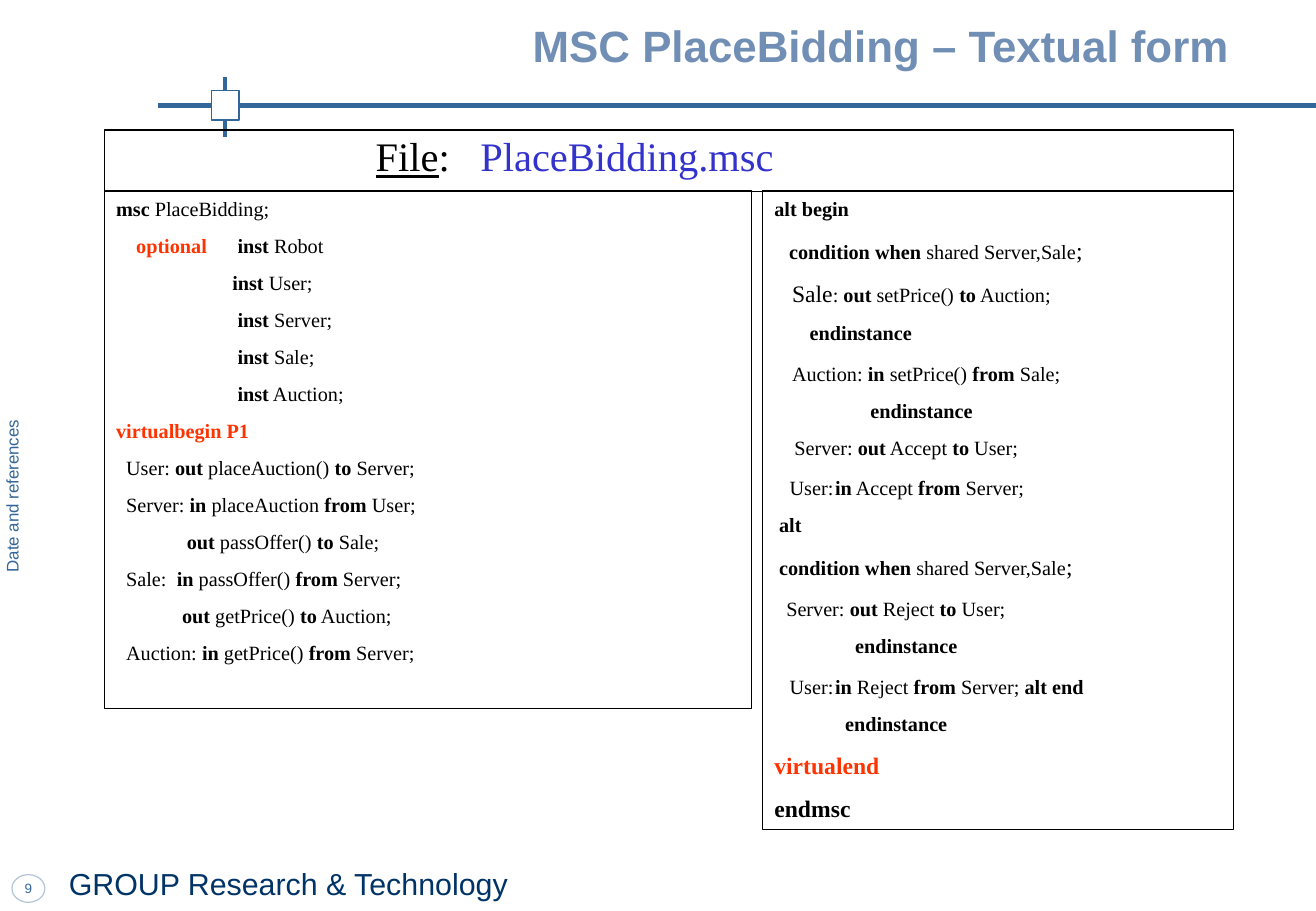
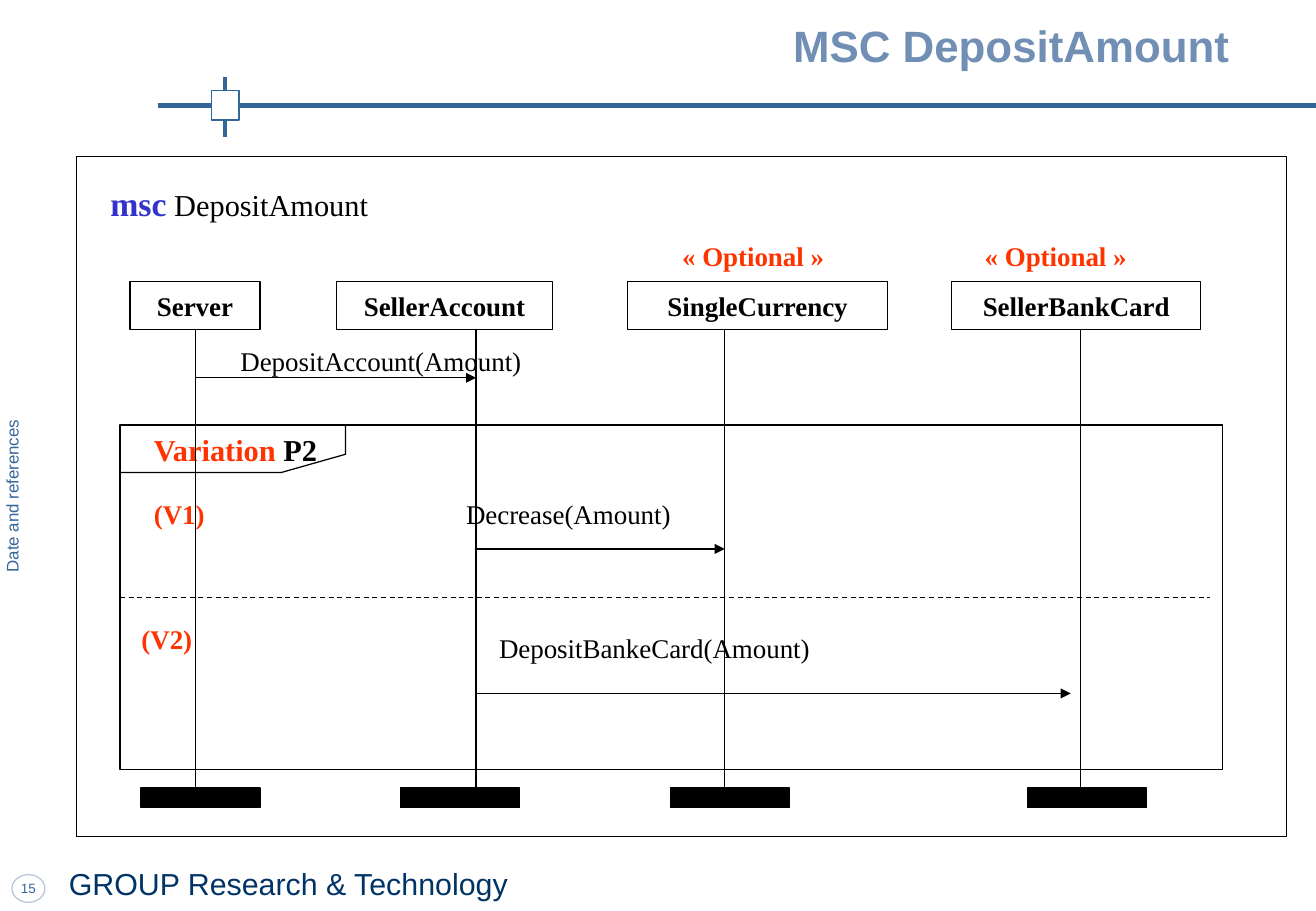
"""Build two slides on message sequence charts: a textual form and a diagram."""
from typing import NamedTuple

from lxml.etree import SubElement
from pptx import Presentation
from pptx.dml.color import RGBColor
from pptx.enum.dml import MSO_LINE
from pptx.enum.shapes import MSO_CONNECTOR, MSO_SHAPE
from pptx.enum.text import MSO_ANCHOR as Anchor, MSO_AUTO_SIZE, PP_ALIGN as Align
from pptx.oxml.ns import qn
from pptx.util import Cm, Pt

COLORS = {
    "black": "000000", "white": "FFFFFF", "red": "FF3300", "blue": "3333CC",
    "rule": "336699", "title": "718EB5", "footer": "003366", "badge": "B6C5DA",
}
SANS, SERIF = "Arial", "Times New Roman"
TAB_STOPS = (1.48, 2.43, 7.63)
MARKS = "*^~_"


class Box(NamedTuple):
    left: float
    top: float
    width: float
    height: float

    def inner(self, left, top, width, height):
        return Box(self.left + left, self.top + top, width, height)

    def lengths(self):
        return [Cm(value) for value in self]


class Line(NamedTuple):
    text: str
    indent: float = 0
    before: float = 7.5
    large: float = 14


class Participant(NamedTuple):
    name: str
    left: float
    width: float
    axis: float
    foot: float
    optional: float = None


LEFT_CODE = [
    Line("*msc* PlaceBidding;"),
    Line("^*optional*^\t*inst* Robot", 0.42),
    Line("*inst* User;", 2.43),
    Line("*inst* Server;", 2.54),
    Line("*inst* Sale;", 2.54),
    Line("*inst* Auction;", 2.54),
    Line("^*virtualbegin P1"),
    Line("User: *out* placeAuction() *to* Server;", 0.21),
    Line("Server: *in* placeAuction *from* User;", 0.21),
    Line("*out* passOffer() *to* Sale;", 1.48),
    Line("Sale:\t*in* passOffer() *from* Server;", 0.21),
    Line("*out* getPrice() *to* Auction;", 1.38),
    Line("Auction: *in* getPrice() *from* Server;", 0.21),
]
RIGHT_CODE = [
    Line("*alt begin"),
    Line("*condition when* shared Server,Sale~;", 0.31, 8.8),
    Line("~Sale~: *out* setPrice() *to* Auction;", 0.37, 8.8),
    Line("*endinstance", 0.74),
    Line("Auction: *in* setPrice() *from* Sale;", 0.37, 9.8),
    Line("*endinstance", 2.01),
    Line("Server: *out* Accept *to* User;", 0.42),
    Line("User:\t*in* Accept *from* Server;", 0.32, 9.8),
    Line("*alt", 0.1),
    Line("*condition when* shared Server,Sale~;", 0.1, 8.8),
    Line("Server: *out* Reject *to* User;", 0.25, 9.8),
    Line("*endinstance", 1.69),
    Line("User:\t*in* Reject *from* Server; *alt end", 0.32, 9.8),
    Line("*endinstance", 1.48),
    Line("^~*virtualend", 0, 8.8),
    Line("~*endmsc", 0, 8.8),
]
PARTICIPANTS = [
    Participant("Server", 1.12, 2.72, 2.49, 1.35),
    Participant("SellerAccount", 5.44, 4.52, 8.36, 6.78),
    Participant("SingleCurrency", 11.53, 5.44, 13.56, 12.42, 12.42),
    Participant("SellerBankCard", 18.31, 5.21, 21.01, 19.89, 18.75),
]
MESSAGES = [
    ("DepositAccount(Amount)", 2.49, 8.36, 4.62, 3.18, 3.81),
    ("Decrease(Amount)", 8.36, 13.56, 8.2, 7.9, 7.01),
    ("DepositBankeCard(Amount)", 8.36, 20.8, 11.22, 8.59, 9.8),
]


def rgb(name):
    return RGBColor.from_string(COLORS[name])


def split_marks(text):
    """Yield pieces of text, each with the set of marks switched on for it."""
    active, piece = set(), ""
    for character in text:
        if character not in MARKS:
            piece += character
            continue
        if piece:
            yield piece, set(active)
        active ^= {character}
        piece = ""
    yield piece, active


def style_font(font, name, size, color, bold=None):
    font.name, font.size, font.bold = name, Pt(size), bold
    font.color.rgb = rgb(color)


def write_lines(shape, lines, size, font=SERIF, color="black", accent="red",
                align=Align.LEFT, anchor=Anchor.TOP, wrap=True):
    """Write marked lines: * bold, ^ accent colour, ~ large, _ underlined."""
    frame = shape.text_frame
    frame.word_wrap, frame.vertical_anchor = wrap, anchor
    for number, line in enumerate(lines):
        paragraph = frame.add_paragraph() if number else frame.paragraphs[0]
        paragraph.alignment = align
        if number:
            paragraph.space_before = Pt(line.before)
        style_font(paragraph.font, font, size, color)
        if line.indent or "\t" in line.text:
            set_indent(paragraph, line.indent)
        for text, marks in split_marks(line.text):
            run = paragraph.add_run()
            run.text = text
            if "*" in marks:
                run.font.bold = True
            if "_" in marks:
                run.font.underline = True
            if "~" in marks:
                run.font.size = Pt(line.large)
            if "^" in marks:
                run.font.color.rgb = rgb(accent)


def set_indent(paragraph, indent):
    """Indent the first line and give the paragraph the shared tab stops."""
    properties = paragraph._p.get_or_add_pPr()
    properties.set("marL", "0")
    properties.set("indent", str(Cm(indent)))
    stops = SubElement(properties, qn("a:tabLst"))
    for position in TAB_STOPS:
        SubElement(stops, qn("a:tab"), pos=str(Cm(position)), algn="l")
    properties.find(qn("a:defRPr")).addprevious(stops)


def set_margins(shape, horizontal, vertical):
    frame = shape.text_frame
    frame.margin_left = frame.margin_right = Cm(horizontal)
    frame.margin_top = frame.margin_bottom = Cm(vertical)


def style_outline(shape, fill=None, line="black"):
    shape.shadow.inherit = False
    if fill:
        shape.fill.solid()
        shape.fill.fore_color.rgb = rgb(fill)
    else:
        shape.fill.background()
    shape.line.color.rgb = rgb(line)
    shape.line.width = Pt(0.75)


def add_frame(slide, box, fill=None, line="black", kind=MSO_SHAPE.RECTANGLE):
    shape = slide.shapes.add_shape(kind, *box.lengths())
    style_outline(shape, fill, line)
    return shape


def add_label(slide, box, text, size=16, **options):
    label = slide.shapes.add_textbox(*box.lengths())
    write_lines(label, [Line(text, large=20)], size, **options)
    return label


def add_rule(slide, start, end, color="black", width=0.75, dashed=False, arrow=False):
    """Draw a straight line between two points given in centimetres."""
    points = [Cm(value) for value in (*start, *end)]
    rule = slide.shapes.add_connector(MSO_CONNECTOR.STRAIGHT, *points)
    rule.line.color.rgb = rgb(color)
    rule.line.width = Pt(width)
    if dashed:
        rule.line.dash_style = MSO_LINE.DASH
    if arrow:
        SubElement(rule.line._get_or_add_ln(), qn("a:tailEnd"), type="triangle")
    SubElement(rule._element.spPr, qn("a:effectLst"))


def add_titled_slide(presentation, title, number):
    """Add a slide with its title, crossed rule, side note and footer."""
    slide = presentation.slides.add_slide(presentation.slide_layouts[5])
    heading = slide.shapes.title
    box = Box(4.62, 0.36, 21.36, 1.17)
    heading.left, heading.top, heading.width, heading.height = box.lengths()
    heading.text_frame.auto_size = MSO_AUTO_SIZE.NONE
    write_lines(heading, [Line("*" + title)], 26, SANS, "title",
                align=Align.RIGHT, anchor=Anchor.MIDDLE)

    add_rule(slide, (4.7, 1.6), (4.7, 2.87), "rule", 2.25)
    add_rule(slide, (3.3, 2.21), (27.53, 2.21), "rule", 3)
    add_frame(slide, Box(4.42, 1.9, 0.58, 0.61), "white", "rule")

    badge = add_frame(slide, Box(0.25, 18.29, 0.69, 0.58), None, "badge", MSO_SHAPE.OVAL)
    set_margins(badge, 0, 0)
    write_lines(badge, [Line(str(number))], 8, SANS, "rule",
                align=Align.CENTER, anchor=Anchor.MIDDLE, wrap=False)
    add_label(slide, Box(1.19, 17.88, 19.33, 1.17), "GROUP Research & Technology",
              18, font=SANS, color="footer", anchor=Anchor.MIDDLE)
    note = add_label(slide, Box(0, 3.15, 0.5, 14.45), "Date and references", 10,
                     font=SANS, color="rule", align=Align.CENTER, anchor=Anchor.MIDDLE)
    set_margins(note, 0, 0)
    note.text_frame._txBody.bodyPr.set("vert", "vert270")
    return slide


def add_listing(slide, box):
    """Place the file name bar with two code columns below it."""
    header = add_frame(slide, box.inner(0, 0, box.width, 1.29))
    set_margins(header, 0.25, 0.03)
    write_lines(header, [Line("_File_:\t^PlaceBidding.msc", 5.43)], 24, accent="blue")
    columns = [(0, 13.54, 10.82, LEFT_CODE), (13.77, 9.85, 13.36, RIGHT_CODE)]
    for left, width, height, code in columns:
        column = add_frame(slide, box.inner(left, 1.27, width, height))
        write_lines(column, code, 12)


def add_participant(slide, box, participant):
    """Place a participant's head, lifeline, foot and optional mark."""
    head = add_frame(slide, box.inner(participant.left, 2.61, participant.width, 1))
    write_lines(head, [Line("*" + participant.name)], 16, align=Align.CENTER,
                anchor=Anchor.MIDDLE, wrap=False)
    axis = box.left + participant.axis
    add_rule(slide, (axis, box.top + 3.61), (axis, box.top + 13.2))
    add_frame(slide, box.inner(participant.foot, 13.2, 2.49, 0.41), "black")
    if participant.optional:
        add_label(slide, box.inner(participant.optional, 1.6, 3.84, 0.94),
                  "^*« Optional »")


def add_variation(slide, box):
    """Place the variation frame with its name tab and two branches."""
    add_frame(slide, box)
    corners = [(0, 0.99), (3.38, 0.99), (4.72, 0.61), (4.72, 0)]
    points = [(Cm(box.left + x), Cm(box.top + y)) for x, y in corners]
    builder = slide.shapes.build_freeform(*points[0])
    builder.add_line_segments(points[1:], close=False)
    style_outline(builder.convert_to_shape())
    middle = box.top + 3.61
    add_rule(slide, (box.left, middle), (box.left + 22.81, middle), dashed=True)
    add_label(slide, box.inner(0.46, 0, 4.29, 1.02), "*^Variation ^P2", 18)
    add_label(slide, box.inner(0.46, 1.4, 1.8, 0.94), "*^(V1)")
    add_label(slide, box.inner(0.2, 4.01, 1.8, 0.94), "*^(V2)")


def add_sequence(slide, box):
    """Place the sequence diagram inside its outer frame."""
    add_frame(slide, box)
    add_label(slide, box.inner(0.46, 0.41, 10.62, 1.12), "^*~msc~*^ DepositAmount",
              18, accent="blue")
    add_variation(slide, box.inner(0.91, 5.61, 23.06, 7.21))
    for participant in PARTICIPANTS:
        add_participant(slide, box, participant)
    for text, start, end, level, left, top in MESSAGES:
        height = box.top + level
        add_rule(slide, (box.left + start, height), (box.left + end, height), arrow=True)
        add_label(slide, box.inner(left, top, 8.13, 0.94), text)


def main():
    presentation = Presentation()
    presentation.slide_width, presentation.slide_height = Cm(27.53), Cm(19.05)
    listing = add_titled_slide(presentation, "MSC PlaceBidding – Textual form", 9)
    add_listing(listing, Box(2.18, 2.72, 23.62, 14.63))
    sequence = add_titled_slide(presentation, "MSC DepositAmount", 15)
    add_sequence(sequence, Box(1.6, 3.28, 25.32, 14.22))
    presentation.save("out.pptx")


if __name__ == "__main__":
    main()
